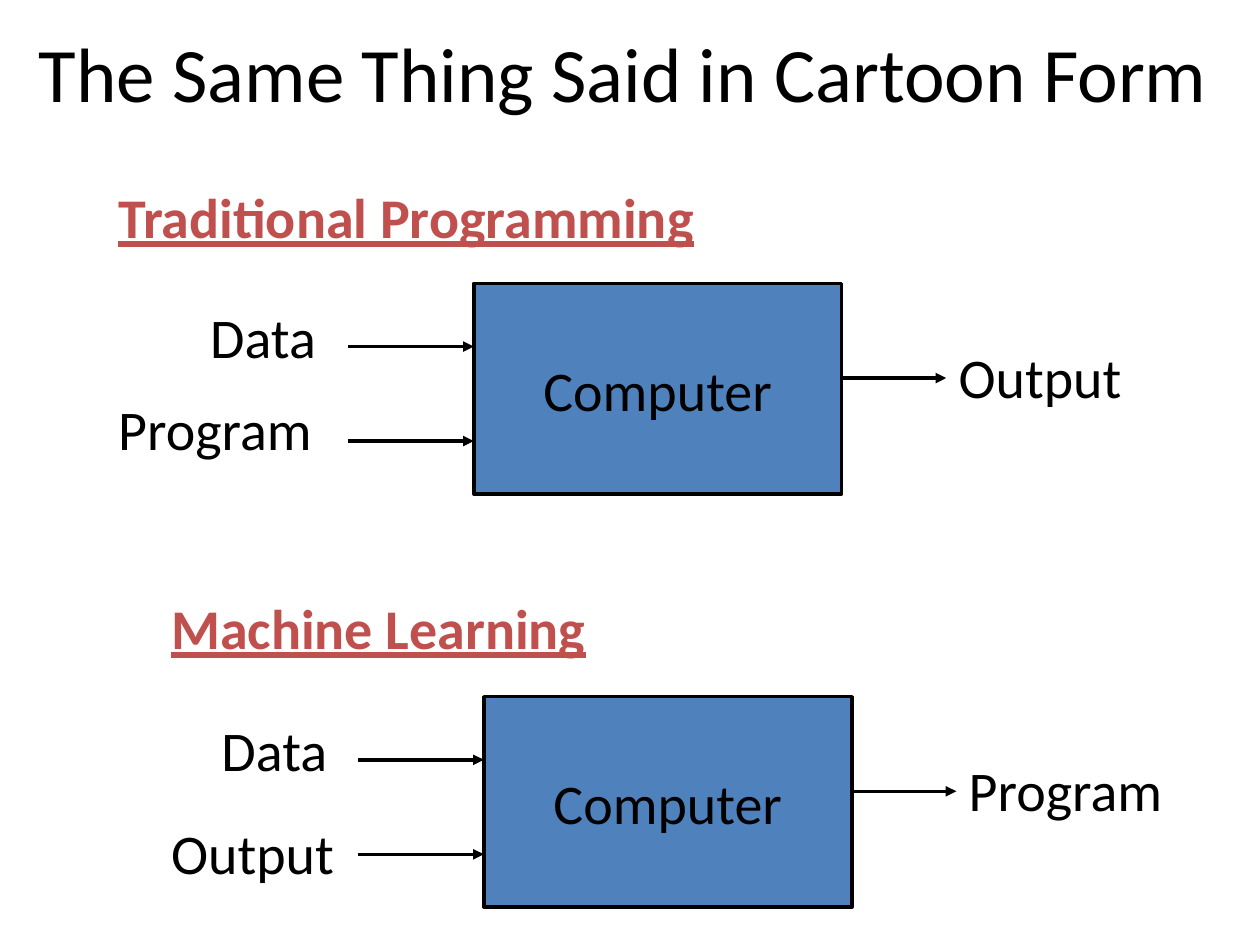
from dataclasses import dataclass

from lxml.etree import SubElement
from pptx import Presentation
from pptx.dml.color import RGBColor
from pptx.enum.shapes import MSO_CONNECTOR as Connector, MSO_SHAPE as Shape
from pptx.enum.text import MSO_ANCHOR as Anchor, MSO_AUTO_SIZE as AutoSize, PP_ALIGN as Align
from pptx.oxml.ns import qn
from pptx.shapes.shapetree import GroupShapes
from pptx.text.text import TextFrame
from pptx.util import Inches, Pt

BLACK, BLUE, RED = "000000", "4F81BD", "C0504D"
BOX_WIDTH, BOX_HEIGHT = 2.92, 1.67
INPUT_ARROW, OUTPUT_ARROW = 1.0, 0.83
LABEL_HEIGHT = 0.63


@dataclass
class Label:
    text: str
    left: float
    top: float
    width: float


@dataclass
class Diagram:
    box_left: float
    box_top: float
    heading: Label
    inputs: tuple[Label, Label]
    result: Label


DIAGRAMS = (
    Diagram(3.76, 2.25, Label("Traditional Programming", 0.84, 1.4, 4.86),
            (Label("Data", 1.57, 2.35, 1.14), Label("Program", 0.84, 3.08, 1.9)),
            Label("Output", 7.51, 2.67, 1.53)),
    Diagram(3.84, 5.53, Label("Machine Learning", 1.26, 4.66, 3.53),
            (Label("Data", 1.66, 5.63, 1.14), Label("Output", 1.26, 6.45, 1.53)),
            Label("Program", 7.59, 5.95, 1.9)),
)


def rgb(value: str) -> RGBColor:
    return RGBColor.from_string(value)


def write(frame: TextFrame, text: str, size: int, color: str, emphasis: bool = False) -> None:
    frame.text = text
    frame.word_wrap = False
    font = frame.paragraphs[0].runs[0].font
    font.name, font.size = "Calibri", Pt(size)
    font.color.rgb = rgb(color)
    if emphasis:
        font.bold = font.underline = True


def add_label(shapes: GroupShapes, label: Label, height: float = LABEL_HEIGHT,
              size: int = 32, color: str = BLACK, emphasis: bool = False) -> None:
    box = shapes.add_textbox(Inches(label.left), Inches(label.top),
                             Inches(label.width), Inches(height))
    write(box.text_frame, label.text, size, color, emphasis)
    box.text_frame.auto_size = AutoSize.SHAPE_TO_FIT_TEXT


def add_arrow(shapes: GroupShapes, left: float, y: float, length: float) -> None:
    """Draw a horizontal arrow pointing right."""
    arrow = shapes.add_connector(Connector.STRAIGHT, Inches(left), Inches(y),
                                 Inches(left + length), Inches(y))
    arrow.line.color.rgb = rgb(BLACK)
    arrow.line.width = Pt(2)
    SubElement(arrow.line._get_or_add_ln(), qn("a:tailEnd"), type="triangle")
    SubElement(arrow._element.spPr, qn("a:effectLst"))


def add_computer(shapes: GroupShapes, left: float, top: float) -> None:
    computer = shapes.add_shape(Shape.RECTANGLE, Inches(left), Inches(top),
                                Inches(BOX_WIDTH), Inches(BOX_HEIGHT))
    computer.shadow.inherit = False
    computer.fill.solid()
    computer.fill.fore_color.rgb = rgb(BLUE)
    computer.line.color.rgb = rgb(BLACK)
    computer.line.width = Pt(2)
    write(computer.text_frame, "Computer", 32, BLACK)
    computer.text_frame.vertical_anchor = Anchor.MIDDLE
    computer.text_frame.paragraphs[0].alignment = Align.CENTER


def add_diagram(shapes: GroupShapes, diagram: Diagram) -> None:
    left, top = diagram.box_left, diagram.box_top
    add_computer(shapes, left, top)
    for drop in (0.5, 1.25):
        add_arrow(shapes, left - INPUT_ARROW, top + drop, INPUT_ARROW)
    add_arrow(shapes, left + BOX_WIDTH, top + 0.75, OUTPUT_ARROW)
    for label in (*diagram.inputs, diagram.result):
        add_label(shapes, label)
    add_label(shapes, diagram.heading, color=RED, emphasis=True)


def main() -> None:
    deck = Presentation()
    deck.slide_width, deck.slide_height = Inches(10), Inches(7.5)
    slide = deck.slides.add_slide(deck.slide_layouts[6])
    title = Label("The Same Thing Said in Cartoon Form", 0.21, 0.15, 9.58)
    add_label(slide.shapes, title, height=0.84, size=44)
    for diagram in DIAGRAMS:
        add_diagram(slide.shapes.add_group_shape().shapes, diagram)
    deck.save("out.pptx")


if __name__ == "__main__":
    main()
